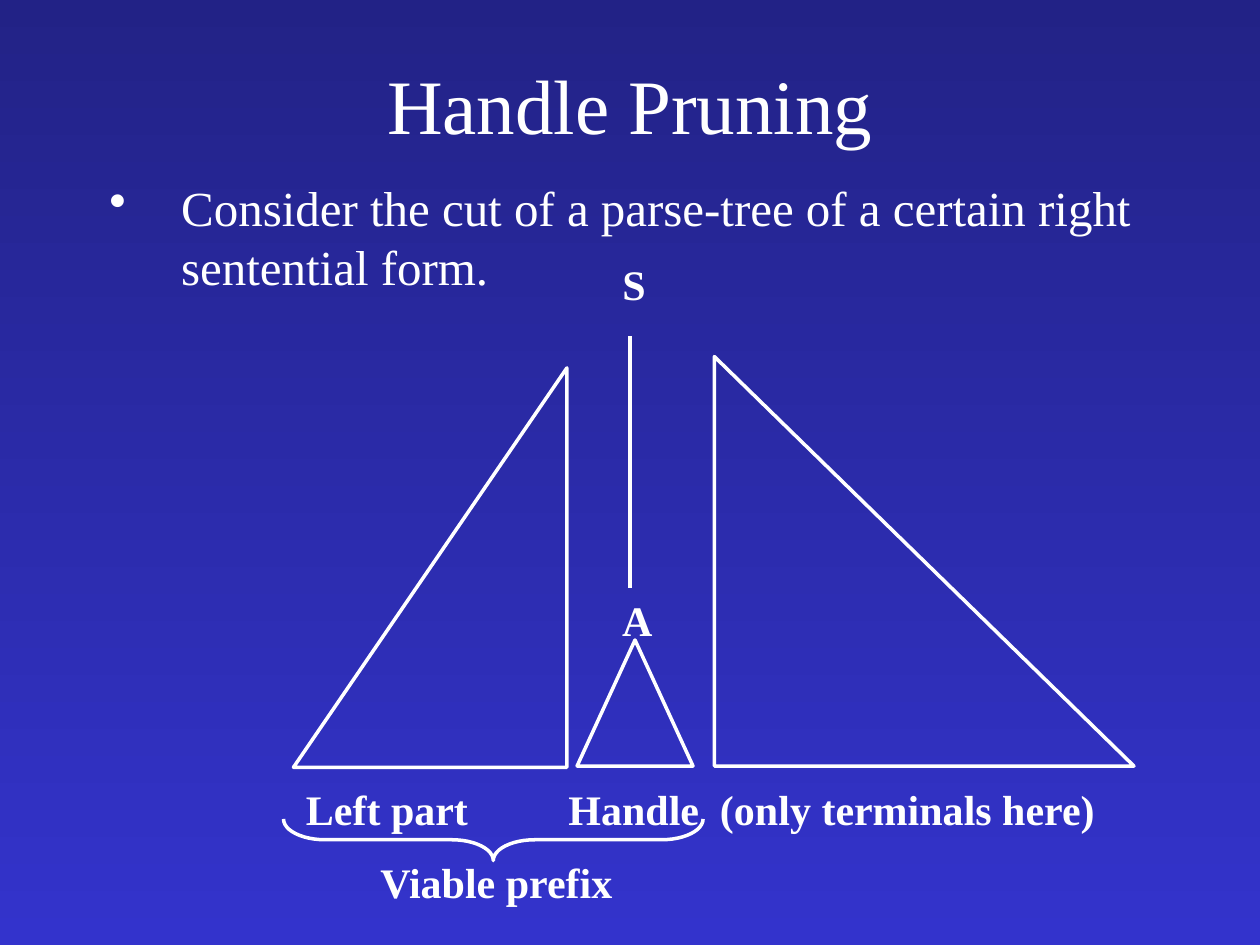
from dataclasses import dataclass

from lxml import etree
from pptx import Presentation
from pptx import util as u
from pptx.dml.color import RGBColor
from pptx.enum import shapes, text
from pptx.oxml.ns import qn

HUES = {"ink": "FFFFFF", "top": "222286", "base": "3333CC"}
FONT = "Times New Roman"
Kind = shapes.MSO_SHAPE


@dataclass
class Label:
    words: str
    left: float
    top: float
    wide: float
    high: float = 0.5
    size: int = 24
    bold: bool = True
    wrap: bool = False
    tab: float = 0
    hang: float = 0
    mid: bool = False


@dataclass
class Form:
    kind: Kind
    left: float
    top: float
    wide: float
    high: float
    bends: tuple
    flip: bool = False
    turn: float = 0


LABELS = [
    Label("Handle Pruning", 0.75, 0.2, 8.5, 1.25, 44, False, True, mid=True),
    Label("Consider the cut of a parse-tree of a certain right sentential form.",
          0.77, 1.36, 8.5, 4.5, 28, False, True, hang=0.57),
    Label("S", 4.84, 2, 0.38),
    Label("A", 4.84, 4.67, 0.44),
    Label("Left part\t Handle  (only terminals here)", 2.33, 6.17, 6.47, tab=2),
    Label("Viable prefix", 2.92, 6.75, 2.06),
]

FORMS = [
    Form(Kind.ISOSCELES_TRIANGLE, 4.58, 5.08, 0.92, 1, (0.5,)),
    Form(Kind.ISOSCELES_TRIANGLE, 5.67, 2.83, 3.33, 3.25, (0,)),
    Form(Kind.ISOSCELES_TRIANGLE, 2.33, 2.92, 2.17, 3.17, (0,), flip=True),
    Form(Kind.RIGHT_BRACE, 3.75, 5, 0.33, 3.33, (1, 0.5), turn=90),
]


def hue(name: str) -> RGBColor:
    return RGBColor.from_string(HUES[name])


def ink(line) -> None:
    line.color.rgb = hue("ink")
    line.width = u.Pt(2)


def write(slide, item: Label) -> None:
    box = slide.shapes.add_textbox(
        *map(u.Inches, (item.left, item.top, item.wide, item.high)))
    frame = box.text_frame
    frame.word_wrap = item.wrap
    para = frame.paragraphs[0]
    para.text = item.words
    props = para._p.get_or_add_pPr()
    if item.hang:
        props.set("marL", str(u.Inches(item.hang)))
        props.set("indent", str(-u.Inches(item.hang)))
        etree.SubElement(props, qn("a:buChar"), char="•")
    if item.tab:
        tabs = etree.SubElement(props, qn("a:tabLst"))
        etree.SubElement(tabs, qn("a:tab"), pos=str(u.Inches(item.tab)), algn="l")
    if item.mid:
        frame.vertical_anchor = text.MSO_ANCHOR.MIDDLE
        para.alignment = text.PP_ALIGN.CENTER
    font = para.font
    font.name, font.size, font.bold = FONT, u.Pt(item.size), item.bold
    font.color.rgb = hue("ink")


def draw(slide, item: Form) -> None:
    shape = slide.shapes.add_shape(
        item.kind, *map(u.Inches, (item.left, item.top, item.wide, item.high)))
    for spot, bend in enumerate(item.bends):
        shape.adjustments[spot] = bend
    shape.rotation = item.turn
    if item.flip:
        shape._element.spPr.xfrm.set("flipH", "1")
    shape.shadow.inherit = False
    shape.fill.background()
    ink(shape.line)


def stem(slide) -> None:
    line = slide.shapes.add_connector(
        shapes.MSO_CONNECTOR.STRAIGHT, *map(u.Inches, (5, 2.67, 5, 4.67)))
    ink(line.line)
    etree.SubElement(line._element.spPr, qn("a:effectLst"))


def paint(slide) -> None:
    fill = slide.background.fill
    fill.gradient()
    fill.gradient_angle = 270
    for stop, name, spot in zip(fill.gradient_stops, ("top", "base"), (0, 1)):
        stop.color.rgb = hue(name)
        stop.position = spot


def main() -> None:
    deck = Presentation()
    deck.slide_width, deck.slide_height = u.Inches(10), u.Inches(7.5)
    slide = deck.slides.add_slide(deck.slide_layouts[6])
    paint(slide)
    stem(slide)
    for form in FORMS:
        draw(slide, form)
    for label in LABELS:
        write(slide, label)
    deck.save("out.pptx")


if __name__ == "__main__":
    main()
